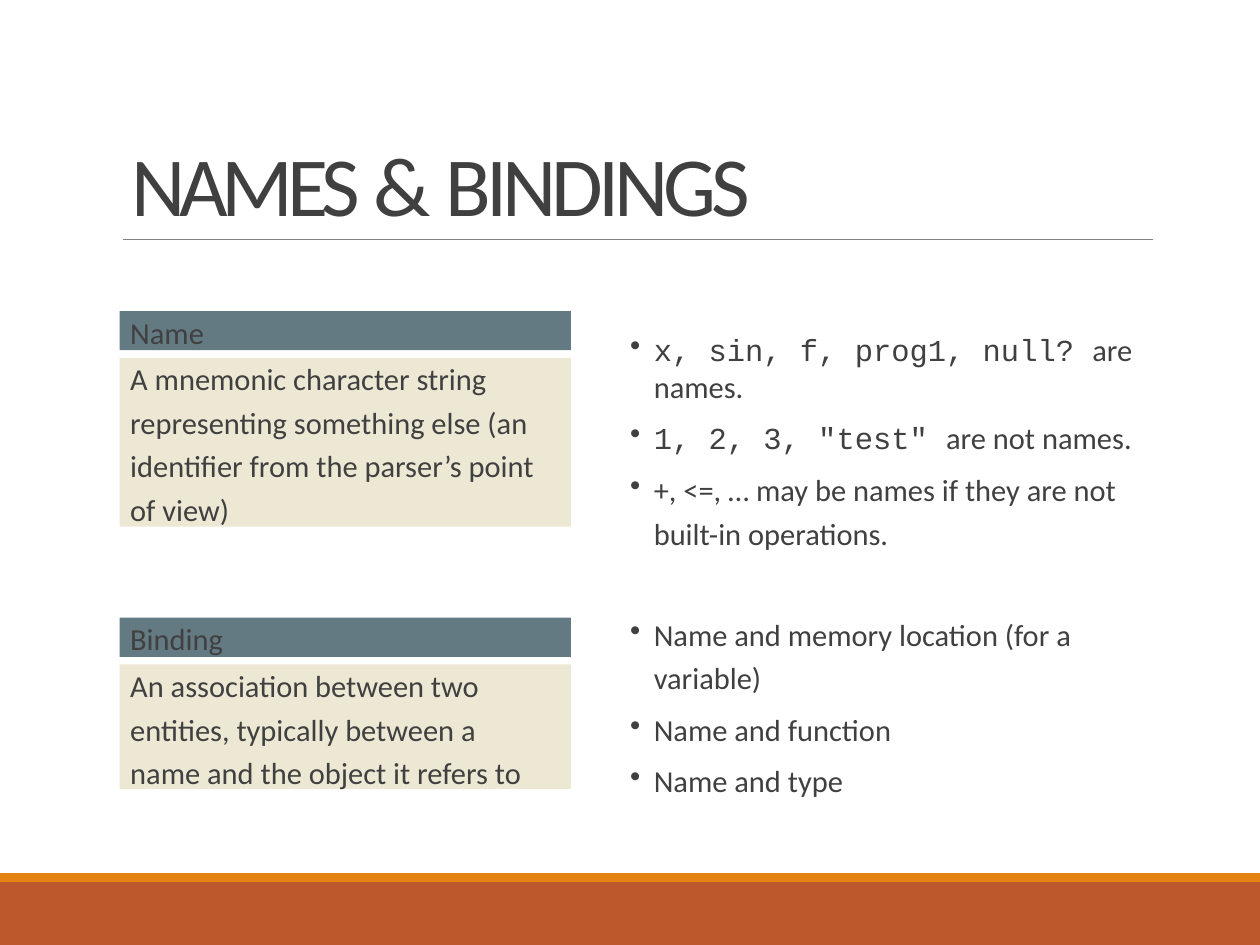
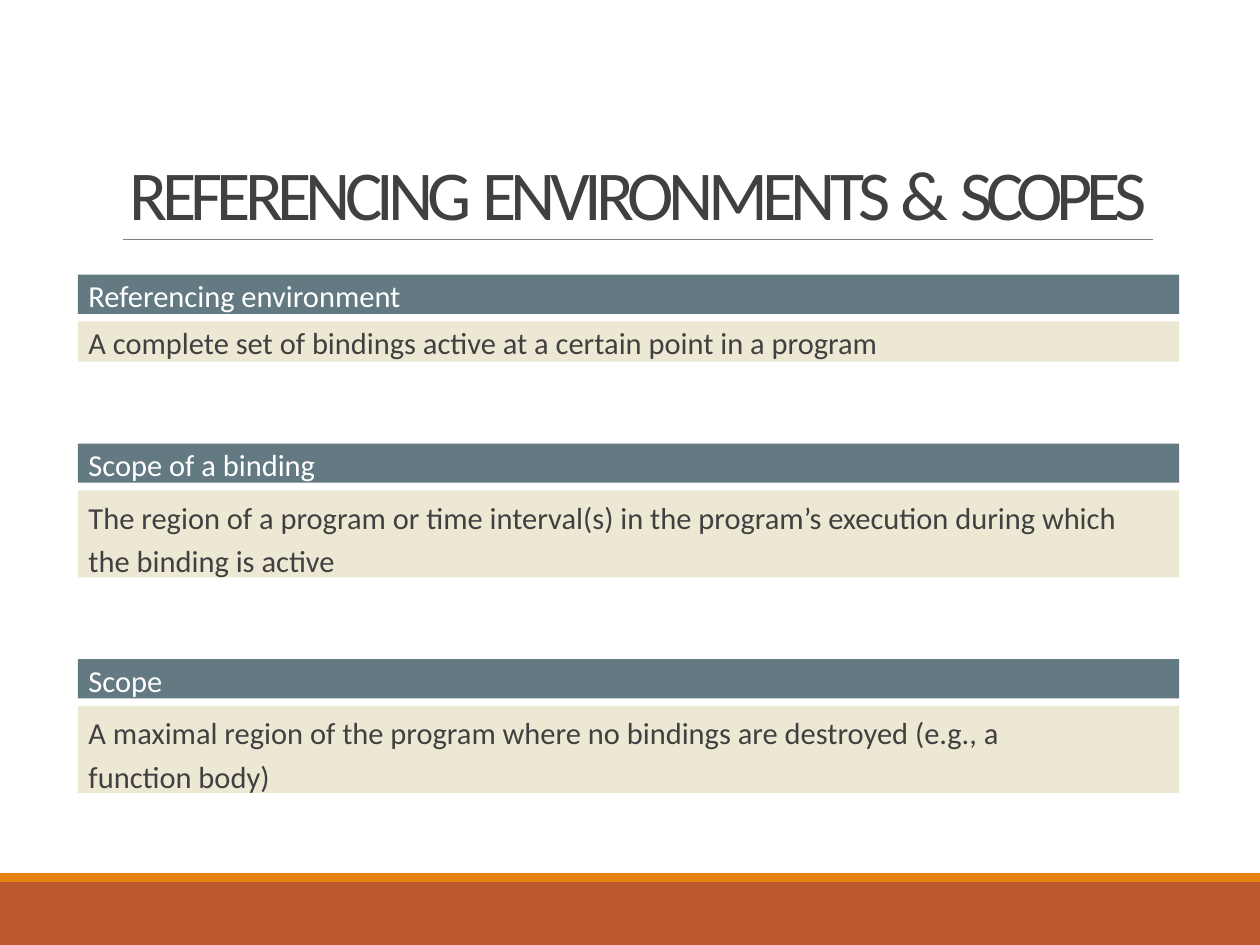
"""Build two slides on names, bindings, referencing environments and scopes."""
from dataclasses import dataclass

from lxml.etree import SubElement
from pptx import Presentation
from pptx.dml.color import RGBColor as Rgb
from pptx.enum.shapes import MSO_CONNECTOR as Connector, MSO_SHAPE as Shape
from pptx.enum.text import MSO_ANCHOR as Anchor
from pptx.oxml.ns import qn
from pptx.util import Pt


@dataclass(frozen=True)
class Theme:
    ink: str = "404040"
    white: str = "FFFFFF"
    slate: str = "647A83"
    cream: str = "EDE8D4"
    rust: str = "BD582C"
    orange: str = "E48312"
    rule: str = "808080"
    sans: str = "Calibri"
    mono: str = "Courier New"
    body_size: float = 17.4


theme = Theme()
HEAD_HEIGHT, BODY_OFFSET = 22.4, 26.7
LOOSE = 1.19
FIXED = Pt(24.9)


def add_box(page, left, top, width, height, fill=None, inset=(6, 1.5, 0)):
    area = [Pt(value) for value in (left, top, width, height)]
    if fill:
        box = page.shapes.add_shape(Shape.RECTANGLE, *area)
        box.shadow.inherit = False
        box.fill.solid()
        box.fill.fore_color.rgb = Rgb.from_string(fill)
        box.line.fill.background()
    else:
        box = page.shapes.add_textbox(*area)
    frame = box.text_frame
    frame.word_wrap = True
    frame.vertical_anchor = Anchor.TOP
    frame.margin_left, frame.margin_top, frame.margin_right = [Pt(value) for value in inset]
    frame.margin_bottom = 0
    return frame


def write(frame, paragraphs, colour=theme.ink, size=theme.body_size, bullet=False):
    for index, (spans, spacing, before) in enumerate(paragraphs):
        para = frame.paragraphs[0] if index == 0 else frame.add_paragraph()
        para.alignment = 1
        para.line_spacing = spacing
        para.space_before = Pt(before)
        if bullet:
            props = para._p.get_or_add_pPr()
            props.set("marL", str(Pt(15)))
            props.set("indent", str(-Pt(13.5)))
            SubElement(props, qn("a:buChar")).set("char", "•")
        for text, face, tracking in spans:
            span = para.add_run()
            span.text = text
            span.font.name = face
            span.font.size = Pt(size)
            span.font.color.rgb = Rgb.from_string(colour)
            if tracking:
                span._r.get_or_add_rPr().set("spc", str(round(tracking * 100)))


slides = [
    {
        "title": [("NAMES ", -3.4), ("& ", -2.5), ("BINDINGS", -2.9)],
        "title_area": (73.4, 73.4, 563, 59.8),
        "title_size": 48,
        "left": 68.4, "top": 177.8, "width": 257.8, "gap": 52,
        "head_colour": theme.ink,
        "body_top": 1.5,
        "cards": [
            ("Name", 96.5, 12, [
                ("A mnemonic character string", 1),
                ("representing something else (an identiﬁer from the parser’s point of view)", LOOSE)]),
            ("Binding", 71.3, 23, [
                ("An association between two", 1),
                ("entities, typically between a name and the object it refers to", LOOSE)]),
        ],
        "lists": [
            ((358.6, 179.3, 306.7, 136.8), 10, [
                ([("x, sin, f, prog1, null? ", theme.mono, 0), ("are names.", theme.sans, 0)], 1, 0),
                ([('1, 2, 3, "test" ', theme.mono, 0), ("are not names.", theme.sans, 0)], 1, 8.6),
                ([("+, <=, … may be names if they are not built-in operations.", theme.sans, 0)], LOOSE, 4.8)]),
            ((358.6, 346.3, 278, 112.3), 1.5, [
                ([("Name and memory location (for a variable)", theme.sans, 0)], LOOSE, 0),
                ([("Name and function", theme.sans, 0)], 1, 8.6),
                ([("Name and type", theme.sans, 0)], 1, 8.6)]),
        ],
    },
    {
        "title": [("REFERENCING ", -3.3), ("ENVIRONMENTS ", -3.2), ("& ", -2.5), ("SCOPES", -3.5)],
        "title_area": (72.7, 84.2, 627.8, 49.7),
        "title_size": 40,
        "left": 44.6, "top": 157, "width": 629.3, "gap": 46.8,
        "head_colour": theme.white,
        "body_top": 0.7,
        "cards": [
            ("Referencing environment", 23, 0, [
                ("A complete set of bindings active at a certain point in a program", 1)]),
            ("Scope of a binding", 49.7, 20, [
                ("The region of a program or time interval(s) in the program’s execution during "
                 "which the binding is active", FIXED)]),
            ("Scope", 49.7, 74, [
                ("A maximal region of the program where no bindings are destroyed (e.g., a "
                 "function body)", FIXED)]),
        ],
        "lists": [],
    },
]

deck = Presentation()
deck.slide_width, deck.slide_height = Pt(720), Pt(540)

for content in slides:
    page = deck.slides.add_slide(deck.slide_layouts[6])
    add_box(page, 0, 504, 720, 36, theme.rust)
    add_box(page, 0, 499, 720, 5, theme.orange)
    rule = page.shapes.add_connector(Connector.STRAIGHT, Pt(70.5), Pt(136.8), Pt(658.8), Pt(136.8))
    rule.line.color.rgb = Rgb.from_string(theme.rule)
    rule.line.width = Pt(0.5)
    SubElement(rule._element.spPr, qn("a:effectLst"))

    title = add_box(page, *content["title_area"], inset=(1.5, 1.5, 0))
    title.vertical_anchor = Anchor.BOTTOM
    title_spans = [(text, theme.sans, tracking) for text, tracking in content["title"]]
    write(title, [(title_spans, 1, 0)], size=content["title_size"])

    left, top, width = content["left"], content["top"], content["width"]
    for name, body_height, right_inset, lines in content["cards"]:
        head = add_box(page, left, top, width, HEAD_HEIGHT, theme.slate)
        write(head, [([(name, theme.sans, 0)], 1, 0)], content["head_colour"])
        body_top = content["body_top"] if lines[0][1] == FIXED else 1.5
        body = add_box(page, left, top + BODY_OFFSET, width, body_height, theme.cream,
                       (6, body_top, right_inset))
        write(body, [([(text, theme.sans, 0)], spacing, 0) for text, spacing in lines])
        top += BODY_OFFSET + body_height + content["gap"]

    for area, top_inset, items in content["lists"]:
        write(add_box(page, *area, inset=(0, top_inset, 0)), items, bullet=True)

deck.save("out.pptx")
